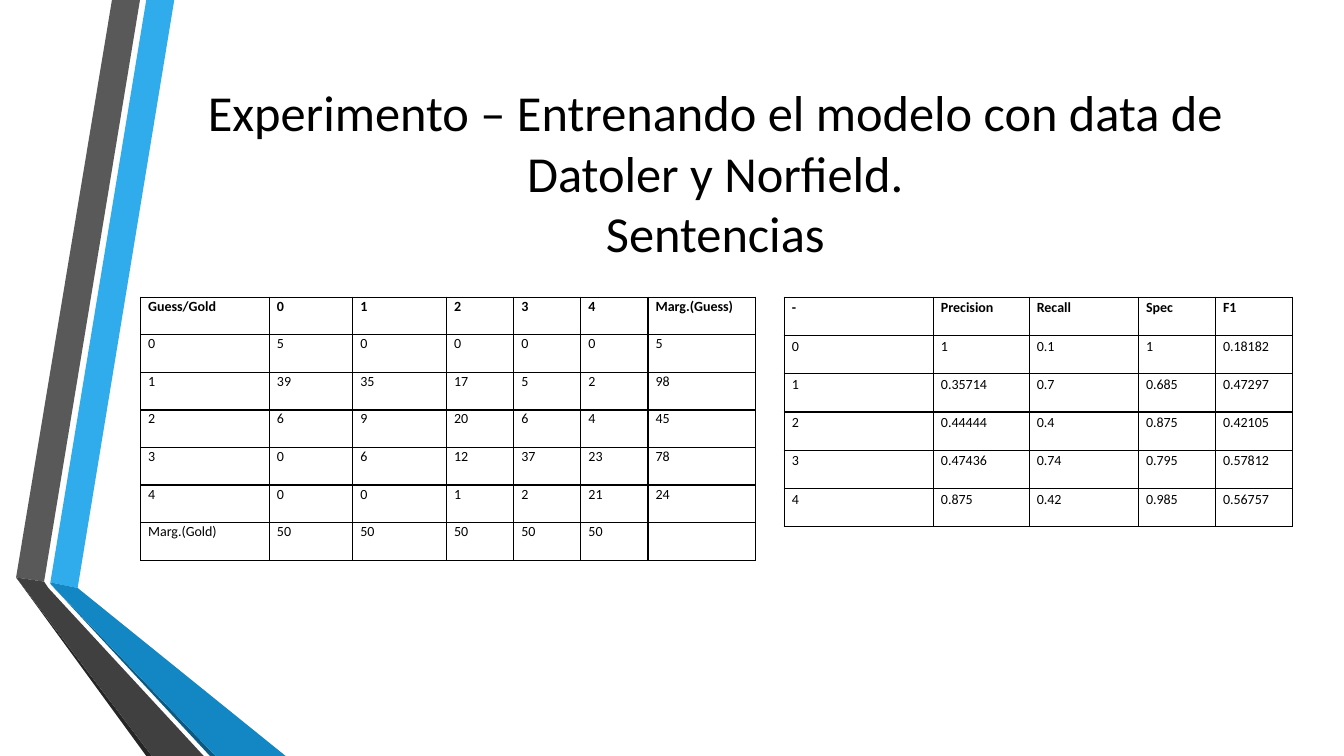
import pptx
import pptx.util
import pptx.dml.color
import pptx.enum.text
import pptx.oxml
import pptx.oxml.ns

Pt = pptx.util.Pt
RGB = pptx.dml.color.RGBColor.from_string
ALIGN = pptx.enum.text.PP_ALIGN

COLORS = {
    "ink": "000000", "sky": "30ACEC", "blue": "1287C3", "navy": "0C5A82",
    "gray": "595959", "dark": "404040", "black": "262626",
}

RIBBONS = [
    ("sky", [(24.5, 416), (44, 420), (113, 0), (93, 0)]),
    ("gray", [(88.5, 0), (68.5, 0), (0, 412.5), (20, 415.5)]),
    ("black", [(0, 412.5), (93, 540), (97, 540)]),
    ("navy", [(24.5, 417), (138.5, 540), (142.5, 540)]),
    ("blue", [(24.5, 417), (142.5, 540), (192.5, 540), (44, 420), (24.5, 416)]),
    ("dark", [(134, 540), (23, 420), (20, 415.5), (0, 412.5), (97, 540)]),
]

COUNTS = """Guess/Gold 0 1 2 3 4 Marg.(Guess)
0 5 0 0 0 0 5
1 39 35 17 5 2 98
2 6 9 20 6 4 45
3 0 6 12 37 23 78
4 0 0 1 2 21 24
Marg.(Gold) 50 50 50 50 50"""

SCORES = """- Precision Recall Spec F1
0 1 0.1 1 0.18182
1 0.35714 0.7 0.685 0.47297
2 0.44444 0.4 0.875 0.42105
3 0.47436 0.74 0.795 0.57812
4 0.875 0.42 0.985 0.56757"""


def style(item, form):
    """Set each attribute named in form on item."""
    for name, value in form.items():
        setattr(item, name, value)


def write(para, text, size, bold, form):
    """Fill a paragraph with text in the slide's font."""
    para.text = text
    style(para, form)
    for run in para.runs:
        style(run.font, {"name": "Calibri", "size": Pt(size), "bold": bold})
        run.font.color.rgb = RGB(COLORS["ink"])


def edge(cell):
    """Draw a thin line on all four sides of a cell."""
    props = cell._tc.get_or_add_tcPr()
    for index, side in enumerate(("lnL", "lnR", "lnT", "lnB")):
        line = pptx.oxml.parse_xml(
            f'<a:{side} {pptx.oxml.ns.nsdecls("a")} w="{Pt(1)}"><a:solidFill>'
            f'<a:srgbClr val="{COLORS["ink"]}"/></a:solidFill></a:{side}>')
        props.insert(index, line)


def draw_ribbons(slide, left, top):
    """Draw the folded ribbons from the given corner."""
    for color, points in RIBBONS:
        spots = [(Pt(left + x), Pt(top + y)) for x, y in points]
        pen = slide.shapes.build_freeform(*spots[0], scale=1.0)
        pen.add_line_segments(spots[1:], close=True)
        shape = pen.convert_to_shape()
        shape.shadow.inherit = False
        shape.fill.solid()
        shape.fill.fore_color.rgb = RGB(COLORS[color])
        shape.line.fill.background()


def add_title(slide, box, text):
    """Place the centred title in its box."""
    frame = slide.shapes.add_textbox(*map(Pt, box)).text_frame
    style(frame, {"word_wrap": True,
                  "vertical_anchor": pptx.enum.text.MSO_ANCHOR.MIDDLE})
    write(frame.paragraphs[0], text, 36, False, {"alignment": ALIGN.CENTER})


def add_grid(slide, box, widths, data, space):
    """Place a ruled table with a bold first row in its box."""
    rows = [line.split() for line in data.splitlines()]
    grid = slide.shapes.add_table(len(rows), len(widths), *map(Pt, box)).table
    style(grid, {"first_row": False, "horz_banding": False})
    for col, width in zip(grid.columns, widths):
        col.width = Pt(width)
    for r, row in enumerate(rows):
        grid.rows[r].height = Pt(box[3] / len(rows))
        for c in range(len(widths)):
            cell = grid.cell(r, c)
            style(cell, {"margin_left": Pt(5.4), "margin_right": Pt(5.4),
                         "margin_top": 0, "margin_bottom": 0})
            cell.fill.background()
            edge(cell)
            write(cell.text_frame.paragraphs[0], row[c] if c < len(row) else "",
                  10, r == 0, {"alignment": ALIGN.JUSTIFY, "line_spacing": space})


def main():
    """Build and save the slide."""
    deck = pptx.Presentation()
    style(deck, {"slide_width": Pt(960), "slide_height": Pt(540)})
    slide = deck.slides.add_slide(deck.slide_layouts[6])
    draw_ribbons(slide, 11.5, 0)
    add_title(slide, (116.5, 54, 789, 138),
              "Experimento – Entrenando el modelo con data de "
              "Datoler y Norfield.\vSentencias")
    add_grid(slide, (100.5, 212.25, 439.5, 188),
             (92, 59.5, 67, 48, 48, 48, 77), COUNTS, 1.05)
    add_grid(slide, (560.25, 212.25, 363, 164),
             (106.5, 68.5, 78, 55, 55), SCORES, 1.15)
    deck.save("out.pptx")


main()
